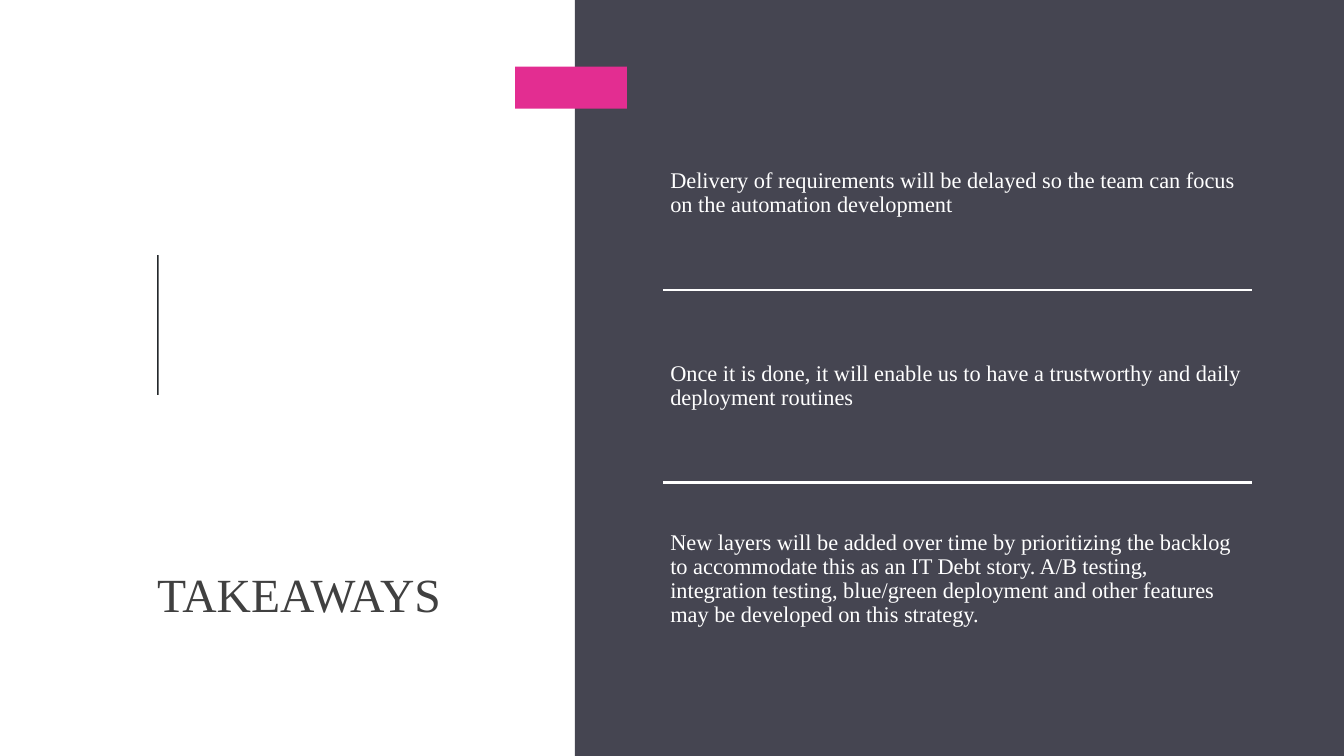
from dataclasses import dataclass

from lxml.etree import SubElement
from pptx import Presentation
from pptx.dml.color import RGBColor
from pptx.enum.shapes import MSO_CONNECTOR, MSO_SHAPE
from pptx.enum.text import MSO_ANCHOR
from pptx.oxml.ns import qn
from pptx.slide import Slide
from pptx.util import Pt

COLOURS = {
    "panel": "454551",
    "bar": "24282B",
    "accent": "E32D91",
    "title": "404040",
    "light": "FFFFFF",
}
FONT = "Times New Roman"


@dataclass(frozen=True)
class Area:
    left: float
    top: float
    width: float
    height: float


@dataclass(frozen=True)
class Block:
    area: Area
    colour: str


@dataclass(frozen=True)
class Caption:
    area: Area
    text: str
    size: float
    colour: str
    anchor: MSO_ANCHOR
    inset: float = 0
    line_spacing: float = 1.0


BLOCKS = [
    Block(Area(410.6, 0, 549.4, 540), "panel"),
    Block(Area(112.3, 182.2, 1, 99.8), "bar"),
    Block(Area(367.9, 47.6, 80, 30), "accent"),
]
TITLE = Caption(Area(112.3, 317.5, 288, 126.7), "TAKEAWAYS", 34, "title", MSO_ANCHOR.BOTTOM)
TAKEAWAYS = [
    "Delivery of requirements will be delayed so the team can focus on the automation development",
    "Once it is done, it will enable us to have a trustworthy and daily deployment routines",
    "New layers will be added over time by prioritizing the backlog to accommodate this as an "
    "IT Debt story. A/B testing, integration testing, blue/green deployment and other features "
    "may be developed on this strategy.",
]
FIRST_ROW = Area(473.8, 69.4, 420.5, 137.7)


def colour_of(name: str) -> RGBColor:
    return RGBColor.from_string(COLOURS[name])


def draw_block(page: Slide, block: Block) -> None:
    area = block.area
    shape = page.shapes.add_shape(
        MSO_SHAPE.RECTANGLE, Pt(area.left), Pt(area.top), Pt(area.width), Pt(area.height)
    )
    shape.shadow.inherit = False
    shape.fill.solid()
    shape.fill.fore_color.rgb = colour_of(block.colour)
    shape.line.fill.background()


def draw_caption(page: Slide, caption: Caption) -> None:
    area = caption.area
    box = page.shapes.add_textbox(Pt(area.left), Pt(area.top), Pt(area.width), Pt(area.height))
    frame = box.text_frame
    frame.word_wrap = True
    frame.vertical_anchor = caption.anchor
    frame.margin_left = frame.margin_right = Pt(caption.inset)
    frame.margin_top = frame.margin_bottom = Pt(caption.inset)
    para = frame.paragraphs[0]
    para.line_spacing = caption.line_spacing
    span = para.add_run()
    span.text = caption.text
    span.font.name = FONT
    span.font.size = Pt(caption.size)
    span.font.color.rgb = colour_of(caption.colour)


def draw_divider(page: Slide, left: float, right: float, height: float) -> None:
    divider = page.shapes.add_connector(
        MSO_CONNECTOR.STRAIGHT, Pt(left), Pt(height), Pt(right), Pt(height)
    )
    divider.line.color.rgb = colour_of("light")
    divider.line.width = Pt(1.75)
    SubElement(divider._element.spPr, qn("a:effectLst"))


def main() -> None:
    deck = Presentation()
    deck.slide_width = Pt(960)
    deck.slide_height = Pt(540)
    page = deck.slides.add_slide(deck.slide_layouts[6])
    for block in BLOCKS:
        draw_block(page, block)
    draw_caption(page, TITLE)
    row = FIRST_ROW
    for index, text in enumerate(TAKEAWAYS):
        top = row.top + index * row.height
        if index > 0:
            draw_divider(page, row.left, row.left + row.width, top)
        area = Area(row.left, top, row.width, row.height)
        draw_caption(page, Caption(area, text, 16, "light", MSO_ANCHOR.MIDDLE, 5, 0.9))
    deck.save("out.pptx")


if __name__ == "__main__":
    main()
